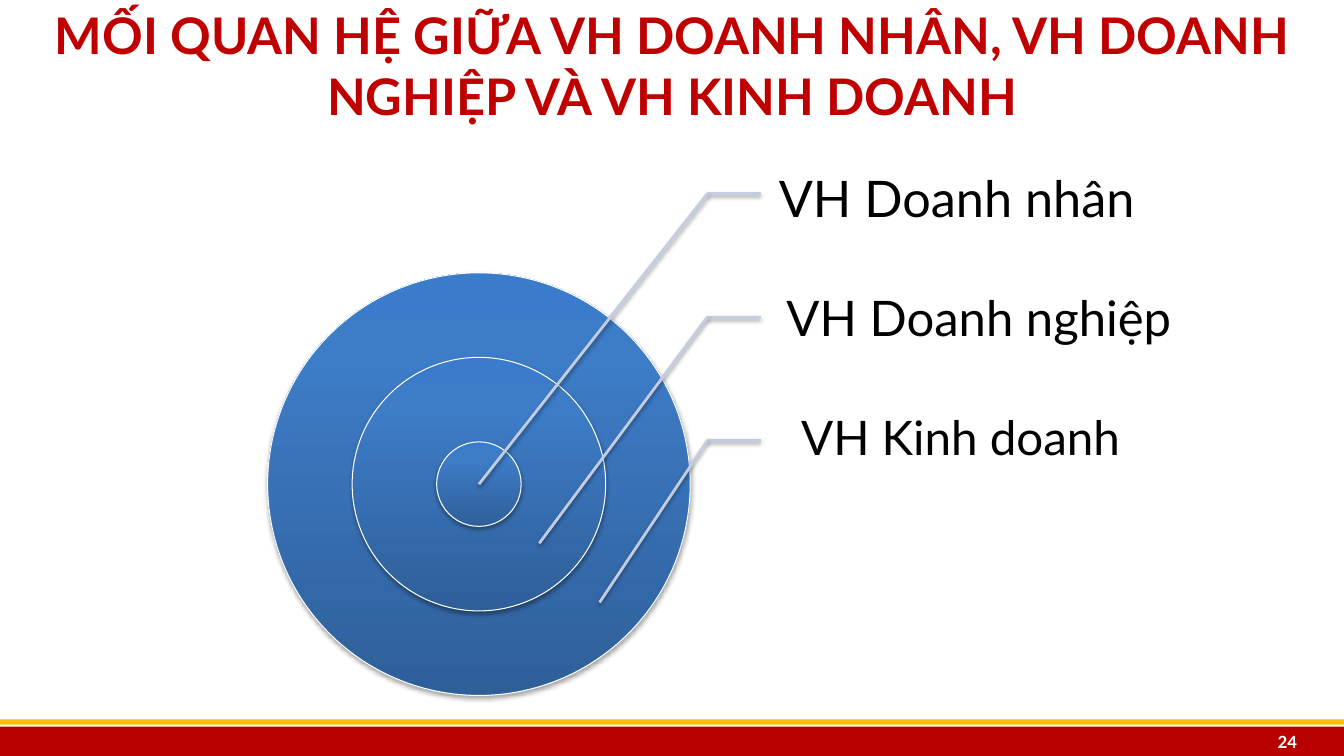
from dataclasses import dataclass

from lxml.etree import SubElement
from pptx import Presentation
from pptx.dml.color import RGBColor
from pptx.enum.shapes import MSO_CONNECTOR as Link, MSO_SHAPE as Shape
from pptx.enum.text import MSO_ANCHOR as Anchor, MSO_AUTO_SIZE as AutoSize, PP_ALIGN as Align
from pptx.oxml.ns import qn
from pptx.util import Cm, Pt


@dataclass(frozen=True)
class Theme:
    font: str = "Lato"
    title: str = "C00000"
    text: str = "000000"
    white: str = "FFFFFF"
    footer: str = "B80000"
    stripe: str = "FFC000"
    leader: str = "C2CDE1"
    ring_stops: tuple = ((0, "2F5F99"), (80, "3D7CC7"), (100, "3A7CCB"))
    title_size: int = 36
    label_sizes: tuple = (36, 35, 34)
    number_size: int = 12
    ring_line: float = 0.75
    leader_line: float = 2


def set_all(target, values):
    for name, value in values.items():
        setattr(target, name, value)


def rgb(colour):
    return RGBColor.from_string(colour)


def add_colour(parent, colour):
    return SubElement(parent, qn("a:srgbClr"), val=colour)


def add_shadow(effects, opacity, distance):
    """Append a soft black shadow that falls straight down."""
    shadow = SubElement(effects, qn("a:outerShdw"), blurRad=str(Pt(3.1)),
                        dist=str(Pt(distance)), dir="5400000", rotWithShape="0")
    SubElement(add_colour(shadow, "000000"), qn("a:alpha"), val=str(opacity * 1000))


class SlideBuilder:
    def __init__(self, slide, theme):
        self.slide, self.theme = slide, theme

    def fill_text(self, holder, text, size, colour, align=Align.LEFT, bold=False,
                  spacing=1.0, margins=(0.25, 0.13, 0.25, 0.13)):
        frame = holder.text_frame
        left, top, right, bottom = map(Cm, margins)
        set_all(frame, dict(text=text, word_wrap=True, auto_size=AutoSize.NONE,
                            vertical_anchor=Anchor.MIDDLE, margin_left=left,
                            margin_top=top, margin_right=right, margin_bottom=bottom))
        paragraph = frame.paragraphs[0]
        set_all(paragraph, dict(alignment=align, line_spacing=spacing))
        font = paragraph.runs[0].font
        set_all(font, dict(name=self.theme.font, size=Pt(size), bold=bold))
        font.color.rgb = rgb(colour)

    def title(self, text, left, top, width, height):
        heading = self.slide.shapes.title
        set_all(heading, dict(left=Cm(left), top=Cm(top), width=Cm(width), height=Cm(height)))
        self.fill_text(heading, text, self.theme.title_size, self.theme.title,
                       align=Align.CENTER, bold=True)

    def text(self, text, left, top, width, height, **style):
        box = self.slide.shapes.add_textbox(Cm(left), Cm(top), Cm(width), Cm(height))
        self.fill_text(box, text, **style)

    def bar(self, left, top, width, height, colour):
        band = self.slide.shapes.add_shape(
            Shape.RECTANGLE, Cm(left), Cm(top), Cm(width), Cm(height))
        band.shadow.inherit = False
        band.fill.solid()
        band.fill.fore_color.rgb = rgb(colour)
        band.line.fill.background()

    def ring(self, centre_x, centre_y, diameter):
        ring = self.slide.shapes.add_shape(
            Shape.OVAL, Cm(centre_x - diameter / 2), Cm(centre_y - diameter / 2),
            Cm(diameter), Cm(diameter))
        ring.fill.gradient()
        ring.fill.gradient_angle = 90
        properties = ring._element.spPr
        stops = properties.find(".//" + qn("a:gsLst"))
        for stop in list(stops):
            stops.remove(stop)
        for position, colour in self.theme.ring_stops:
            add_colour(SubElement(stops, qn("a:gs"), pos=str(position * 1000)), colour)
        ring.line.color.rgb = rgb(self.theme.white)
        ring.line.width = Pt(self.theme.ring_line)
        ring.shadow.inherit = False
        add_shadow(properties.find(qn("a:effectLst")), opacity=35, distance=1.8)

    def leader(self, start, end):
        line = self.slide.shapes.add_connector(Link.STRAIGHT, *map(Cm, (*start, *end)))
        line.line.color.rgb = rgb(self.theme.leader)
        line.line.width = Pt(self.theme.leader_line)
        effects = SubElement(line._element.spPr, qn("a:effectLst"))
        add_shadow(effects, opacity=38, distance=1.6)


def main():
    theme = Theme()
    deck = Presentation()
    set_all(deck, dict(slide_width=Cm(33.87), slide_height=Cm(19.05)))
    page = SlideBuilder(deck.slides.add_slide(deck.slide_layouts[5]), theme)

    page.bar(0, 18.31, 33.87, 0.74, theme.footer)
    page.bar(0, 18.13, 33.87, 0.13, theme.stripe)
    page.title("MỐI QUAN HỆ GIỮA VH DOANH NHÂN, VH DOANH NGHIỆP VÀ VH KINH DOANH",
               0.94, 0.13, 32, 3)

    centre_x, centre_y, core_diameter = 12.07, 12.2, 2.13
    for multiple in (5, 3, 1):
        page.ring(centre_x, centre_y, core_diameter * multiple)

    elbow_x, label_x = 17.83, 19.18
    labels = (("VH Doanh nhân", 18.92, 10.72, 0.71),
              ("VH Doanh nghiệp", 19.13, 10.67, 0.69),
              ("VH Kinh doanh", 19.53, 9.86, 0.66))
    for level, (label, left, width, indent) in enumerate(labels):
        page.text(label, left, 3.53 + 3 * level, width, 3.1,
                  size=theme.label_sizes[level], colour=theme.text, spacing=0.9,
                  margins=(indent, 0.13, 0.13, 0.13))
        elbow = (elbow_x, 4.88 + 3.11 * level)
        page.leader(elbow, (label_x, elbow[1]))
        page.leader(elbow, (centre_x + 1.52 * level, centre_y + 1.49 * level))

    page.text("24", 30.73, 18.31, 2.21, 0.79, size=theme.number_size,
              colour=theme.white, align=Align.RIGHT, bold=True,
              margins=(0.25, 0, 0.25, 0))
    deck.save("out.pptx")


if __name__ == "__main__":
    main()
